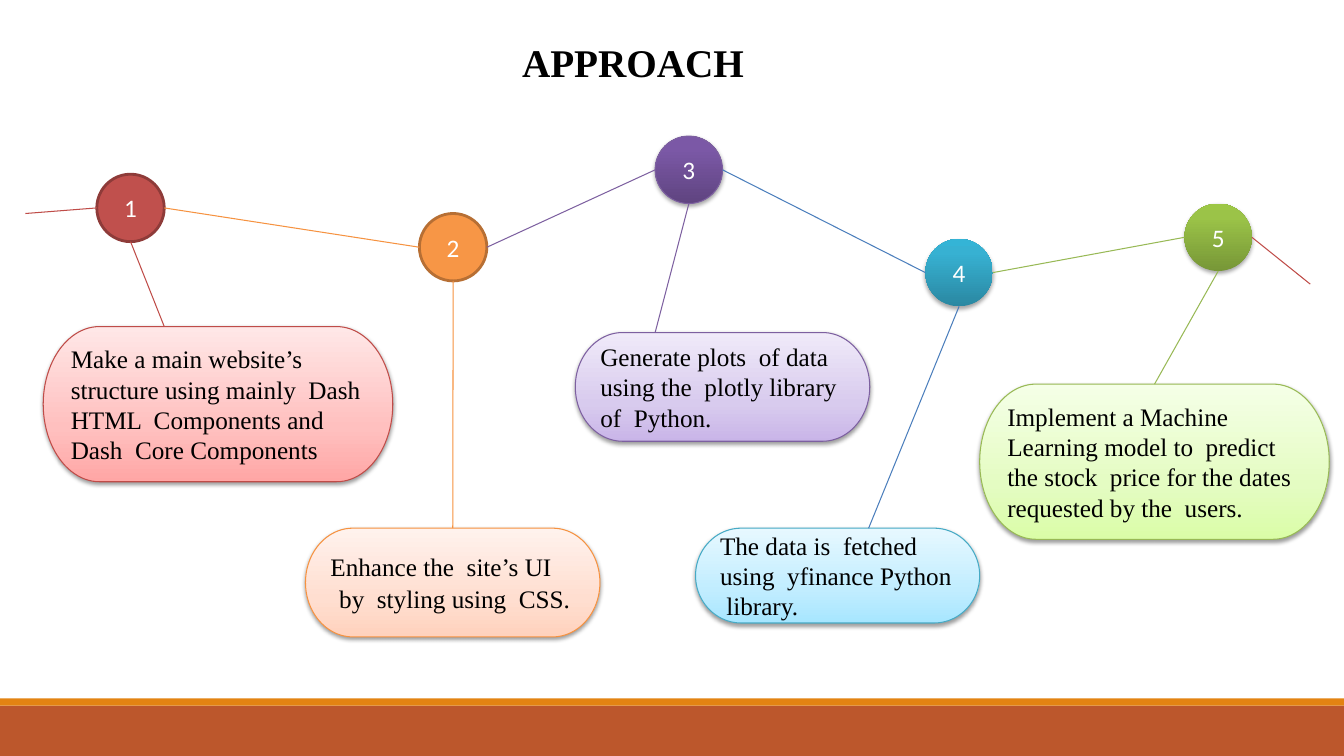
from copy import deepcopy
from lxml import etree
from pptx import Presentation
from pptx import util as u
from pptx.dml.color import RGBColor
from pptx.enum import shapes, text
from pptx.oxml.ns import qn

WHITE = RGBColor(0xFF, 0xFF, 0xFF)
BLACK = RGBColor(0x00, 0x00, 0x00)
RUST = RGBColor(0xBC, 0x57, 0x2C)
AMBER = RGBColor(0xE3, 0x83, 0x12)
RED = RGBColor(0xBF, 0x4C, 0x48)
ORANGE = RGBColor(0xF6, 0x92, 0x40)
PURPLE = RGBColor(0x7D, 0x60, 0xA0)
BLUE = RGBColor(0x4B, 0x7E, 0xBC)
TEAL = RGBColor(0x46, 0xAA, 0xC5)
GREEN = RGBColor(0x98, 0xB9, 0x55)
DARK_RED = RGBColor(0x8E, 0x3B, 0x39)
DARK_ORANGE = RGBColor(0xB7, 0x6F, 0x34)

WIDTH, HEIGHT = 33.87, 19.05
DIAMETER = 1.7
TITLE = "APPROACH"
BODY = dict(size=u.Pt(18), name="Times New Roman")
HEADING = dict(size=u.Pt(28), name="Times New Roman", bold=True)
NUMBER = dict(size=u.Pt(18), name="Calibri")
FOOTER = [(17.78, 1.27, RUST), (17.6, 0.18, AMBER)]
START, END = (0.64, 5.38), (33.02, 7.16)

CIRCLES = [
    (2.44, 4.39, ["C0504D"], DARK_RED, 2),
    (10.57, 5.38, ["F79646"], DARK_ORANGE, 2),
    (16.51, 3.43, ["5F4480", "7B58A6", "7C57A8"], PURPLE, 0.75),
    (23.32, 6.02, ["2A88A2", "37B1D2", "34B4D6"], None, 0),
    (29.85, 5.13, ["779737", "9BC348", "9DC746"], None, 0),
]
CARDS = [
    (1.09, 8.23, 8.81, 3.91, ["FFA6A5", "FFC0BF", "FFE7E7"], RED,
     [(0.03, "Make a main website’s  structure using mainly  Dash "
             "HTML  Components and Dash  Core Components")]),
    (7.7, 13.31, 7.42, 2.74, ["FFD2BD", "FFDED0", "FFF2ED"], ORANGE,
     [(0.03, "Enhance the  site’s UI"), (0.25, "by  styling using  CSS.")]),
    (14.5, 8.38, 7.42, 2.74, ["C9B5E8", "D8CBEE", "F0EAF9"], PURPLE,
     [(0.03, "Generate plots  of data using the  plotly library of  Python.")]),
    (17.53, 13.31, 7.16, 2.39, ["A7E6FF", "C1EDFF", "E7F8FF"], TEAL,
     [(0.03, "The data is  fetched using  yfinance Python  library.")]),
    (24.69, 9.68, 8.81, 3.91, ["DAFDA7", "E4FCC2", "F5FFE7"], GREEN,
     [(0.03, "Implement a Machine  Learning model to  predict the stock  price "
             "for the dates  requested by the  users.")]),
]
LEADER_X = [4.14, None, 16.51, 21.89, None]
LINE_COLOURS = [RED, ORANGE, PURPLE, BLUE, GREEN]


def write(p, words, color, style):
    r = p.add_run()
    r.text = words
    for key, value in style.items():
        setattr(r.font, key, value)
    r.font.color.rgb = color


def paint(sp, colours, middle):
    if len(colours) == 1:
        sp.fill.solid()
        sp.fill.fore_color.rgb = RGBColor.from_string(colours[0])
        return
    sp.fill.gradient()
    sp.fill.gradient_angle = 90
    stops = sp._element.spPr.find(qn("a:gradFill")).find(qn("a:gsLst"))
    stops.append(deepcopy(stops[0]))
    for stop, place, colour in zip(sp.fill.gradient_stops, (0, middle, 1), colours):
        stop.position = place
        stop.color.rgb = RGBColor.from_string(colour)


def cast_shadow(sp, distance, alpha):
    effects = sp._element.spPr.find(qn("a:effectLst"))
    shadow = etree.SubElement(effects, qn("a:outerShdw"), blurRad=str(u.Pt(3.1)),
                              dist=str(u.Pt(distance)), dir="5400000", rotWithShape="0")
    colour = etree.SubElement(shadow, qn("a:srgbClr"), val="000000")
    etree.SubElement(colour, qn("a:alpha"), val=str(alpha * 1000))


def add_block(kind, box, colours, middle=0.35, outline=None, weight=0.75):
    sp = s.shapes.add_shape(kind, *map(u.Cm, box))
    sp.shadow.inherit = False
    paint(sp, colours, middle)
    if outline is None:
        sp.line.fill.background()
    else:
        sp.line.color.rgb = outline
        sp.line.width = u.Pt(weight)
    sp.text_frame.word_wrap = True
    sp.text_frame.vertical_anchor = text.MSO_ANCHOR.MIDDLE
    return sp


def add_line(start, end, colour):
    c = s.shapes.add_connector(shapes.MSO_CONNECTOR.STRAIGHT, *map(u.Cm, start + end))
    c.line.color.rgb = colour
    c.line.width = u.Pt(0.75)
    etree.SubElement(c._element.spPr, qn("a:effectLst"))
    return c


prs = Presentation()
prs.slide_width, prs.slide_height = u.Cm(WIDTH), u.Cm(HEIGHT)
s = prs.slides.add_slide(prs.slide_layouts[6])

for top, height, colour in FOOTER:
    add_block(shapes.MSO_SHAPE.RECTANGLE, (0, top, WIDTH, height), [str(colour)])

title = s.shapes.add_textbox(*map(u.Cm, (10.95, 0.84, 10, 1.45)))
title.text_frame.word_wrap = True
p = title.text_frame.paragraphs[0]
p.alignment = text.PP_ALIGN.CENTER
write(p, TITLE, BLACK, HEADING)

for number, (x, y, colours, outline, weight) in enumerate(CIRCLES, 1):
    sp = add_block(shapes.MSO_SHAPE.FLOWCHART_CONNECTOR, (x, y, DIAMETER, DIAMETER),
                   colours, 0.8, outline, weight)
    if len(colours) > 1:
        cast_shadow(sp, 1.8, 35)
    p = sp.text_frame.paragraphs[0]
    p.alignment = text.PP_ALIGN.CENTER
    write(p, str(number), WHITE, NUMBER)

cards = []
for x, y, w, h, colours, outline, lines in CARDS:
    sp = add_block(shapes.MSO_SHAPE.FLOWCHART_TERMINATOR, (x, y, w, h), colours, outline=outline)
    cast_shadow(sp, 1.6, 38)
    cards.append(sp)
    tf = sp.text_frame
    for i, (indent, words) in enumerate(lines):
        p = tf.add_paragraph() if i else tf.paragraphs[0]
        p.alignment = text.PP_ALIGN.LEFT
        p.space_before = u.Pt(1)
        p._p.get_or_add_pPr().set("marL", str(u.Cm(indent)))
        write(p, words, BLACK, BODY)

for circle, card, sp, end_x, colour in zip(CIRCLES, CARDS, cards, LEADER_X, LINE_COLOURS):
    x, y = circle[:2]
    target = card[0] + card[2] / 2 if end_x is None else end_x
    c = add_line((x + DIAMETER / 2, y + DIAMETER), (target, card[1]), colour)
    if end_x is None:
        c.end_connect(sp, 0)

lefts = [(x, y + DIAMETER / 2) for x, y, *_ in CIRCLES]
rights = [(x + DIAMETER, y) for x, y in lefts]
for start, end, colour in zip([START] + rights, lefts + [END], LINE_COLOURS + [RED]):
    add_line(start, end, colour)

prs.save("out.pptx")
